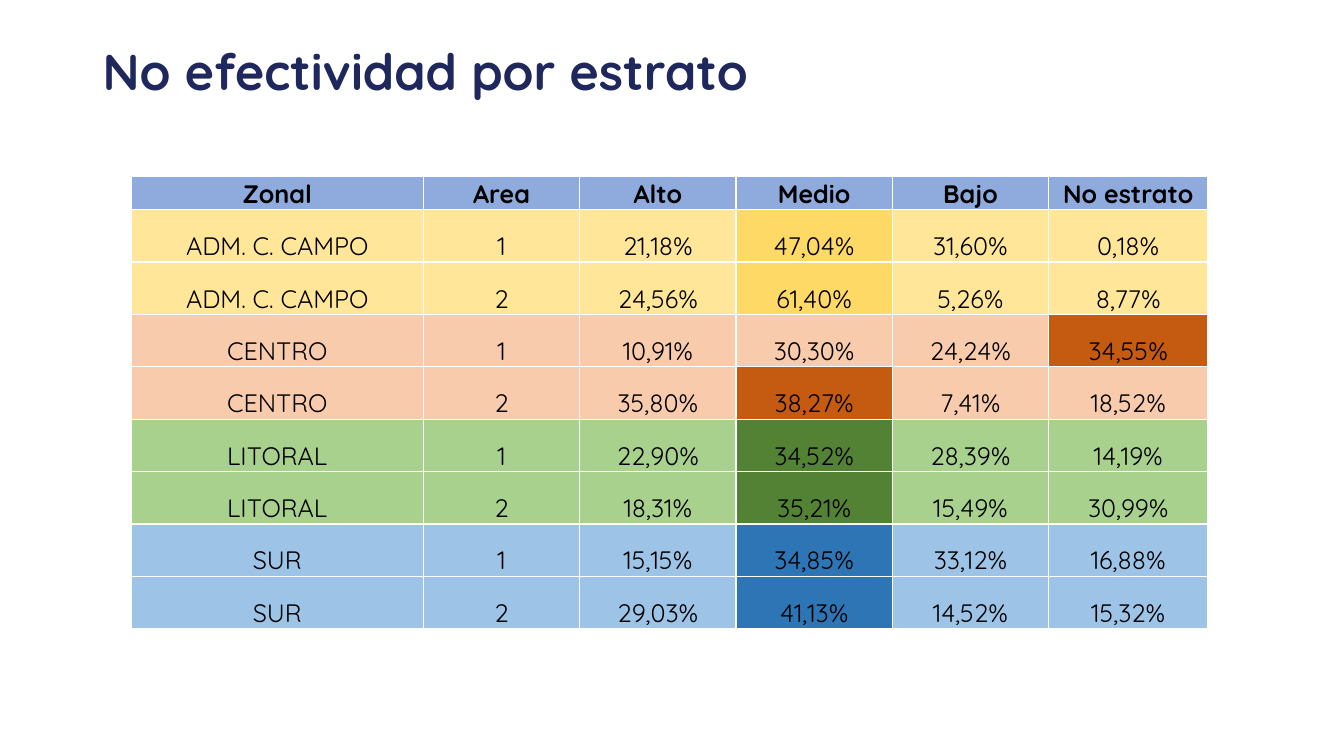
from lxml import etree
from pptx import Presentation
from pptx import util as u
from pptx.dml.color import RGBColor
from pptx.enum import text
from pptx.oxml.ns import qn

FONT = "Quicksand"
HEADER_FILL = "8FAADC"
HEADINGS = ["Zonal", "Area", "Alto", "Medio", "Bajo", "No estrato"]
COLUMN_WIDTHS = [2.9, 1.55, 1.55, 1.55, 1.55, 1.58]
HEADER_HEIGHT, ROW_HEIGHT = 0.33, 0.52

# zone, row fill, fill of the largest share, shares by area
ZONES = [
    ("ADM. C. CAMPO", "FFE699", "FFD966",
     [[21.18, 47.04, 31.60, 0.18], [24.56, 61.40, 5.26, 8.77]]),
    ("CENTRO", "F8CBAD", "C55A11",
     [[10.91, 30.30, 24.24, 34.55], [35.80, 38.27, 7.41, 18.52]]),
    ("LITORAL", "A9D18E", "548235",
     [[22.90, 34.52, 28.39, 14.19], [18.31, 35.21, 15.49, 30.99]]),
    ("SUR", "9DC3E6", "2E75B6",
     [[15.15, 34.85, 33.12, 16.88], [29.03, 41.13, 14.52, 15.32]]),
]


def color(value):
    return RGBColor.from_string(value)


def percent(share):
    return f"{share:.2f}%".replace(".", ",")


def write(frame, words, size=18, ink="000000", bold=False, align=None, spacing=None):
    paragraph = frame.paragraphs[0]
    paragraph.alignment = align
    paragraph.line_spacing = spacing
    run = paragraph.add_run()
    run.text = words
    run.font.name = FONT
    run.font.size = u.Pt(size)
    run.font.bold = bold
    run.font.color.rgb = color(ink)


def add_borders(cell, ink="FFFFFF", width=1):
    properties = cell._tc.get_or_add_tcPr()
    for side in ("a:lnL", "a:lnR", "a:lnT", "a:lnB"):
        line = etree.SubElement(properties, qn(side), w=str(u.Pt(width)))
        fill = etree.SubElement(line, qn("a:solidFill"))
        etree.SubElement(fill, qn("a:srgbClr"), val=ink)


def fill_cell(cell, words, fill, bold=False):
    cell.margin_left = cell.margin_right = cell.margin_top = u.Inches(0.01)
    cell.margin_bottom = 0
    cell.vertical_anchor = text.MSO_ANCHOR.BOTTOM
    add_borders(cell)
    cell.fill.solid()
    cell.fill.fore_color.rgb = color(fill)
    write(cell.text_frame, words, bold=bold, align=text.PP_ALIGN.CENTER)


def add_title(slide, left, top, width, height):
    title = slide.shapes.add_textbox(*map(u.Inches, (left, top, width, height)))
    frame = title.text_frame
    frame.word_wrap = True
    frame.vertical_anchor = text.MSO_ANCHOR.MIDDLE
    write(frame, "No efectividad por estrato", size=36, ink="1F285D",
          bold=True, spacing=0.9)


def table_rows():
    """Yield each body row as a list of (words, fill) pairs."""
    for zone, fill, peak_fill, areas in ZONES:
        for area, shares in enumerate(areas, start=1):
            yield [(zone, fill), (str(area), fill)] + [
                (percent(share), peak_fill if share == max(shares) else fill)
                for share in shares]


def add_strata_table(slide, left, top):
    rows = [[(heading, HEADER_FILL) for heading in HEADINGS], *table_rows()]
    heights = [HEADER_HEIGHT] + [ROW_HEIGHT] * (len(rows) - 1)
    box = map(u.Inches, (left, top, sum(COLUMN_WIDTHS), sum(heights)))
    strata = slide.shapes.add_table(len(rows), len(HEADINGS), *box).table
    for column, width in zip(strata.columns, COLUMN_WIDTHS):
        column.width = u.Inches(width)
    for r, (row, height) in enumerate(zip(rows, heights)):
        strata.rows[r].height = u.Inches(height)
        for c, (words, fill) in enumerate(row):
            fill_cell(strata.cell(r, c), words, fill, bold=r == 0)


def main():
    deck = Presentation()
    deck.slide_width, deck.slide_height = u.Inches(13.33), u.Inches(7.5)
    slide = deck.slides.add_slide(deck.slide_layouts[6])
    add_title(slide, 0.92, 0.37, 8.46, 0.74)
    add_strata_table(slide, 1.3, 1.75)
    deck.save("out.pptx")


if __name__ == "__main__":
    main()
